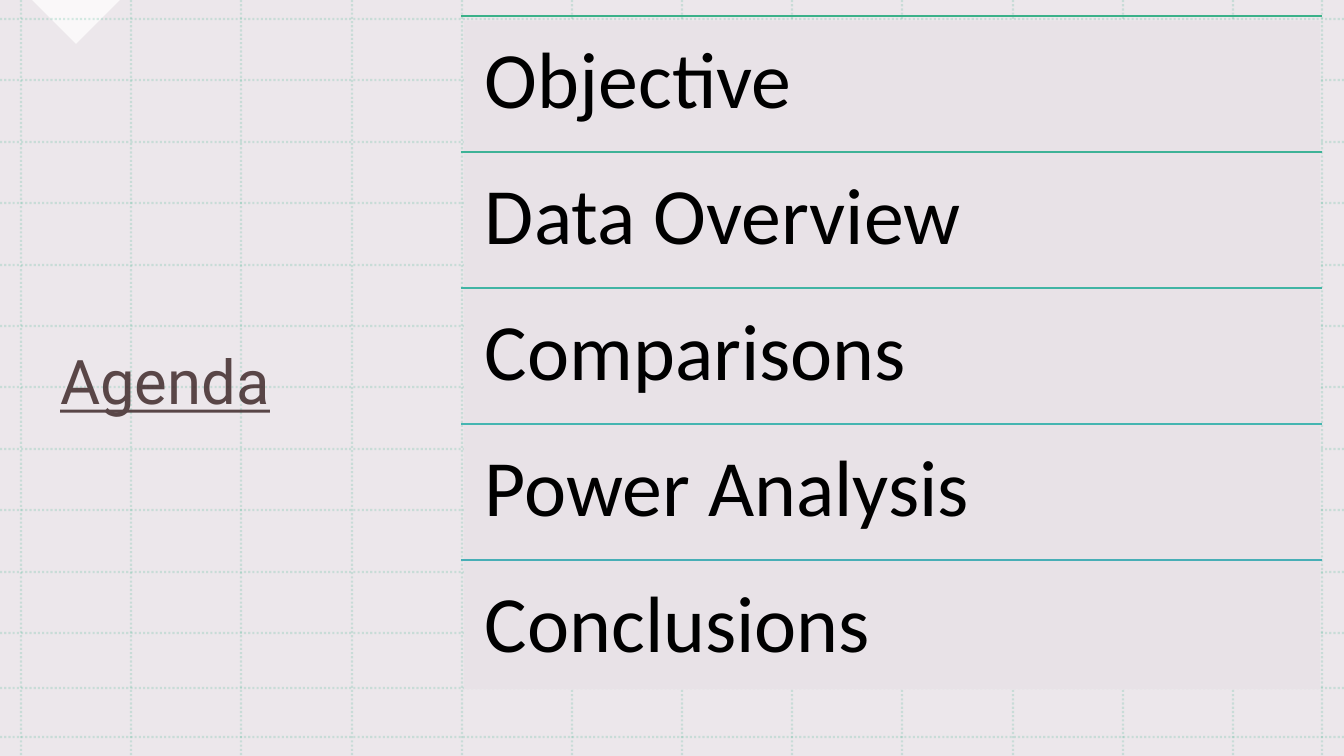
"""Build the agenda slide: a dotted grid, a title and a ruled list of topics."""
from dataclasses import dataclass

from lxml.etree import SubElement
from pptx import Presentation
from pptx.dml.color import RGBColor
from pptx.enum.dml import MSO_LINE
from pptx.enum.shapes import MSO_CONNECTOR, MSO_SHAPE
from pptx.enum.text import MSO_ANCHOR, MSO_AUTO_SIZE, PP_ALIGN
from pptx.oxml.ns import qn
from pptx.shapes.autoshape import Shape
from pptx.shapes.base import BaseShape
from pptx.slide import Slide
from pptx.util import Emu, Pt

EMU_PER_PX = 914400 / 100.8
SLIDE_WIDTH, SLIDE_HEIGHT = 1344, 756
COLORS = {
    "white": "FFFFFF",
    "panel": "E8E2E7",
    "grid": "3BB189",
    "title": "351E1F",
    "topic": "000000",
}
GRID_COLUMNS = [21 + round(1212 * i / 11) for i in range(12)] + [1322]
GRID_ROWS = [19 + round(614 * i / 10) for i in range(11)] + [688, 737]
LIST_LEFT, LIST_TOP, LIST_WIDTH, TOPIC_HEIGHT = 461, 16, 861, 136
TOPIC_INSET = 24


@dataclass(frozen=True)
class Box:
    """A rectangle in px."""

    left: int
    top: int
    width: int
    height: int

    def emu(self) -> tuple[Emu, Emu, Emu, Emu]:
        """Return the four lengths in EMU."""
        return px(self.left), px(self.top), px(self.width), px(self.height)


@dataclass(frozen=True)
class Topic:
    """An agenda entry and the colour of the rule above it."""

    text: str
    rule_color: str


TOPICS = [
    Topic("Objective", "3BB189"),
    Topic("Data Overview", "3EB297"),
    Topic("Comparisons", "41B4A4"),
    Topic("Power Analysis", "44B5B1"),
    Topic("Conclusions", "47AEB6"),
]


def px(length: int) -> Emu:
    """Convert px to EMU."""
    return Emu(round(length * EMU_PER_PX))


def set_opacity(shape: BaseShape, percent: int) -> None:
    """Give every explicit colour of a shape the same opacity."""
    for color in shape.element.xpath(".//a:srgbClr"):
        SubElement(color, qn("a:alpha"), val=str(percent * 1000))


def add_block(slide: Slide, kind: MSO_SHAPE, box: Box, color: str, opacity: int = 100) -> Shape:
    """Add a filled shape without an outline."""
    shape = slide.shapes.add_shape(kind, *box.emu())
    shape.shadow.inherit = False
    shape.fill.solid()
    shape.fill.fore_color.rgb = RGBColor.from_string(color)
    shape.line.fill.background()
    if opacity < 100:
        set_opacity(shape, opacity)
    return shape


def add_rule(slide: Slide, box: Box, color: str, points: float, dotted: bool = False) -> None:
    """Add a straight line from one corner of the box to the other."""
    left, top, width, height = box.emu()
    connector = slide.shapes.add_connector(
        MSO_CONNECTOR.STRAIGHT, left, top, left + width, top + height
    )
    connector.line.color.rgb = RGBColor.from_string(color)
    connector.line.width = Pt(points)
    if dotted:
        connector.line.dash_style = MSO_LINE.ROUND_DOT
        set_opacity(connector, 20)
    SubElement(connector.element.spPr, qn("a:effectLst"))


def write(shape: Shape, text: str, font: str, size: int, color: str, underline: bool = False) -> None:
    """Write one left-aligned run into a shape."""
    frame = shape.text_frame
    frame.word_wrap = True
    frame.auto_size = MSO_AUTO_SIZE.NONE
    paragraph = frame.paragraphs[0]
    paragraph.alignment = PP_ALIGN.LEFT
    paragraph.line_spacing = 0.9
    run = paragraph.add_run()
    run.text = text
    run.font.name = font
    run.font.size = Pt(size)
    run.font.color.rgb = RGBColor.from_string(color)
    if underline:
        run.font.underline = True


def add_backdrop(slide: Slide) -> None:
    """Add the tint, the corner triangle and the dotted grid."""
    slide.background.fill.solid()
    slide.background.fill.fore_color.rgb = RGBColor.from_string(COLORS["white"])
    full = Box(0, 0, SLIDE_WIDTH, SLIDE_HEIGHT)
    add_block(slide, MSO_SHAPE.RECTANGLE, full, COLORS["panel"], 80)
    corner = Box(45, -31, 62, 62)
    add_block(slide, MSO_SHAPE.RIGHT_TRIANGLE, corner, COLORS["white"], 75).rotation = 315
    columns = [Box(x, 0, 0, SLIDE_HEIGHT) for x in GRID_COLUMNS]
    rows = [Box(0, y, SLIDE_WIDTH, 0) for y in GRID_ROWS]
    for line in columns + rows:
        add_rule(slide, line, COLORS["grid"], 1.5, dotted=True)


def add_title(slide: Slide) -> None:
    """Fill the title placeholder and bring it in front of the grid."""
    title = slide.shapes.title
    title.left, title.top, title.width, title.height = Box(50, 80, 410, 610).emu()
    title.text_frame.vertical_anchor = MSO_ANCHOR.MIDDLE
    write(title, "Agenda", "Roboto", 44, COLORS["title"], underline=True)
    set_opacity(title, 80)
    slide.shapes.element.append(title.element)


def add_topic(slide: Slide, topic: Topic, top: int) -> None:
    """Add one topic under its rule."""
    add_rule(slide, Box(LIST_LEFT, top, LIST_WIDTH, 0), topic.rule_color, 1)
    box = Box(LIST_LEFT, top, LIST_WIDTH, TOPIC_HEIGHT)
    label = slide.shapes.add_textbox(*box.emu())
    frame = label.text_frame
    frame.margin_left = frame.margin_right = px(TOPIC_INSET)
    frame.margin_top = frame.margin_bottom = px(TOPIC_INSET)
    frame.vertical_anchor = MSO_ANCHOR.TOP
    write(label, topic.text, "Calibri", 57, COLORS["topic"])


def main() -> None:
    """Build and save the presentation."""
    presentation = Presentation()
    presentation.slide_width = px(SLIDE_WIDTH)
    presentation.slide_height = px(SLIDE_HEIGHT)
    slide = presentation.slides.add_slide(presentation.slide_layouts[5])
    add_backdrop(slide)
    add_title(slide)
    add_block(slide, MSO_SHAPE.RECTANGLE, Box(464, 21, 856, 668), COLORS["panel"])
    for index, topic in enumerate(TOPICS):
        add_topic(slide, topic, LIST_TOP + index * TOPIC_HEIGHT)
    presentation.save("out.pptx")


if __name__ == "__main__":
    main()
